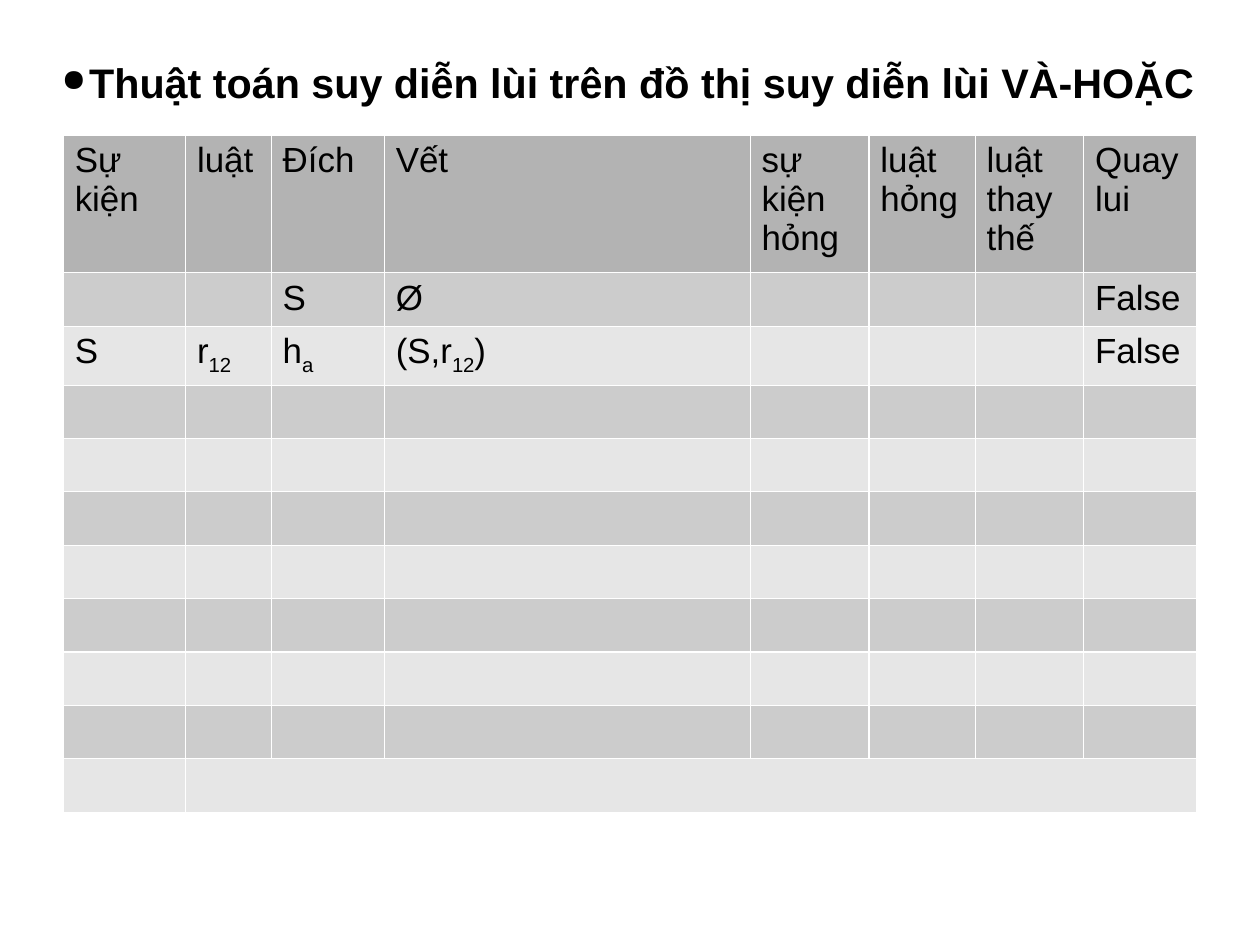
"""Build the slide on backward chaining over an AND-OR graph."""
from dataclasses import dataclass

from pptx import Presentation
from pptx.dml.color import RGBColor
from pptx.enum.text import MSO_ANCHOR, PP_ALIGN
from pptx.oxml.xmlchemy import OxmlElement
from pptx.slide import Slide
from pptx.table import _Cell
from pptx.text.text import TextFrame, _Paragraph
from pptx.util import Cm, Emu, Inches, Pt


@dataclass(frozen=True)
class Theme:
    font: str = "Arial"
    ink: str = "000000"
    border: str = "FFFFFF"
    header: str = "B3B3B3"
    bands: tuple[str, str] = ("CCCCCC", "E6E6E6")
    title_size: float = 26
    cell_size: float = 22
    border_width: float = 0.75


@dataclass(frozen=True)
class Box:
    left: float
    top: float
    width: float
    height: float

    def place(self) -> tuple[Emu, Emu, Emu, Emu]:
        return (Emu(int(SLIDE_W * self.left / 100)), Emu(int(SLIDE_H * self.top / 100)),
                Emu(int(SLIDE_W * self.width / 100)), Emu(int(SLIDE_H * self.height / 100)))


@dataclass(frozen=True)
class Grid:
    box: Box
    columns: tuple[float, ...]
    rows: tuple[float, ...]
    texts: dict[int, dict[int, str]]


THEME = Theme()
SLIDE_W, SLIDE_H = Cm(28), Cm(21)
TITLE = "Thuật toán suy diễn lùi trên đồ thị suy diễn lùi VÀ-HOẶC"
TITLE_BOX = Box(3.63, 3.75, 92.56, 9.79)
HEADINGS = ("Sự kiện", "luật", "Đích", "Vết", "sự kiện hỏng",
            "luật hỏng", "luật thay thế", "Quay lui")
TRACE = Grid(
    box=Box(5.03, 14.34, 89.98, 67.6),
    columns=(1.07, 0.75, 0.99, 3.2, 1.04, 0.93, 0.95, 0.99),
    rows=(1.12, 0.44, 0.51) + (0.44,) * 8,
    texts={
        0: dict(enumerate(HEADINGS)),
        1: {2: "S", 3: "Ø", 7: "False"},
        2: {0: "S", 1: "r_12", 2: "h_a", 3: "(S,r_12_)", 7: "False"},
    },
)


def add_text(tf: TextFrame, text: str, *, size: float, bold: bool = False,
             align: PP_ALIGN = PP_ALIGN.LEFT) -> _Paragraph:
    """Write text in which underscores switch subscript on and off."""
    p = tf.paragraphs[0]
    p.alignment = align
    for i, part in enumerate(text.split("_")):
        if not part:
            continue
        r = p.add_run()
        r.text = part
        r.font.name, r.font.size, r.font.bold = THEME.font, Pt(size), bold
        r.font.color.rgb = RGBColor.from_string(THEME.ink)
        if i % 2:
            r.font._element.set("baseline", "-25000")
    end = OxmlElement("a:endParaRPr")
    end.set("sz", str(int(size * 100)))
    p._p.append(end)
    return p


def add_bullet(p: _Paragraph, char: str, indent: float, percent: int) -> None:
    """Give a paragraph a hanging bullet."""
    props = p._p.get_or_add_pPr()
    props.set("marL", str(Inches(indent)))
    props.set("indent", str(-Inches(indent)))
    color = OxmlElement("a:buClr")
    rgb = OxmlElement("a:srgbClr")
    rgb.set("val", THEME.ink)
    color.append(rgb)
    size = OxmlElement("a:buSzPct")
    size.set("val", str(percent * 1000))
    bullet = OxmlElement("a:buChar")
    bullet.set("char", char)
    props.extend((color, size, bullet))


def add_title(s: Slide) -> None:
    """Draw the bulleted title."""
    tf = s.shapes.add_textbox(*TITLE_BOX.place()).text_frame
    tf.word_wrap = True
    tf.vertical_anchor = MSO_ANCHOR.MIDDLE
    tf.margin_left = tf.margin_right = tf.margin_top = tf.margin_bottom = 0
    p = add_text(tf, TITLE, size=THEME.title_size, bold=True, align=PP_ALIGN.CENTER)
    add_bullet(p, "●", 0.24, 75)


def style_cell(cell: _Cell, fill: str) -> None:
    """Set the borders and fill of a cell."""
    props = cell._tc.get_or_add_tcPr()
    for side in "LRTB":
        line = OxmlElement(f"a:ln{side}")
        line.set("w", str(Pt(THEME.border_width)))
        solid = OxmlElement("a:solidFill")
        rgb = OxmlElement("a:srgbClr")
        rgb.set("val", THEME.border)
        solid.append(rgb)
        line.append(solid)
        props.append(line)
    cell.fill.solid()
    cell.fill.fore_color.rgb = RGBColor.from_string(fill)


def add_grid(s: Slide, grid: Grid) -> None:
    """Draw the table with its last row merged after the first column."""
    left, top, width, height = grid.box.place()
    table = s.shapes.add_table(len(grid.rows), len(grid.columns),
                               left, top, width, height).table
    table.first_row = table.horz_banding = False
    for column, share in zip(table.columns, grid.columns):
        column.width = Emu(int(width * share / sum(grid.columns)))
    for i, (row, share) in enumerate(zip(table.rows, grid.rows)):
        row.height = Emu(int(height * share / sum(grid.rows)))
        fill = THEME.bands[(i - 1) % 2] if i else THEME.header
        for j, cell in enumerate(row.cells):
            style_cell(cell, fill)
            text = grid.texts.get(i, {}).get(j, "")
            add_text(cell.text_frame, text, size=THEME.cell_size)
    last = len(grid.rows) - 1
    table.cell(last, 1).merge(table.cell(last, len(grid.columns) - 1))


def main() -> None:
    """Build and save the presentation."""
    prs = Presentation()
    prs.slide_width, prs.slide_height = SLIDE_W, SLIDE_H
    s = prs.slides.add_slide(prs.slide_layouts[6])
    add_title(s)
    add_grid(s, TRACE)
    prs.save("out.pptx")


if __name__ == "__main__":
    main()
